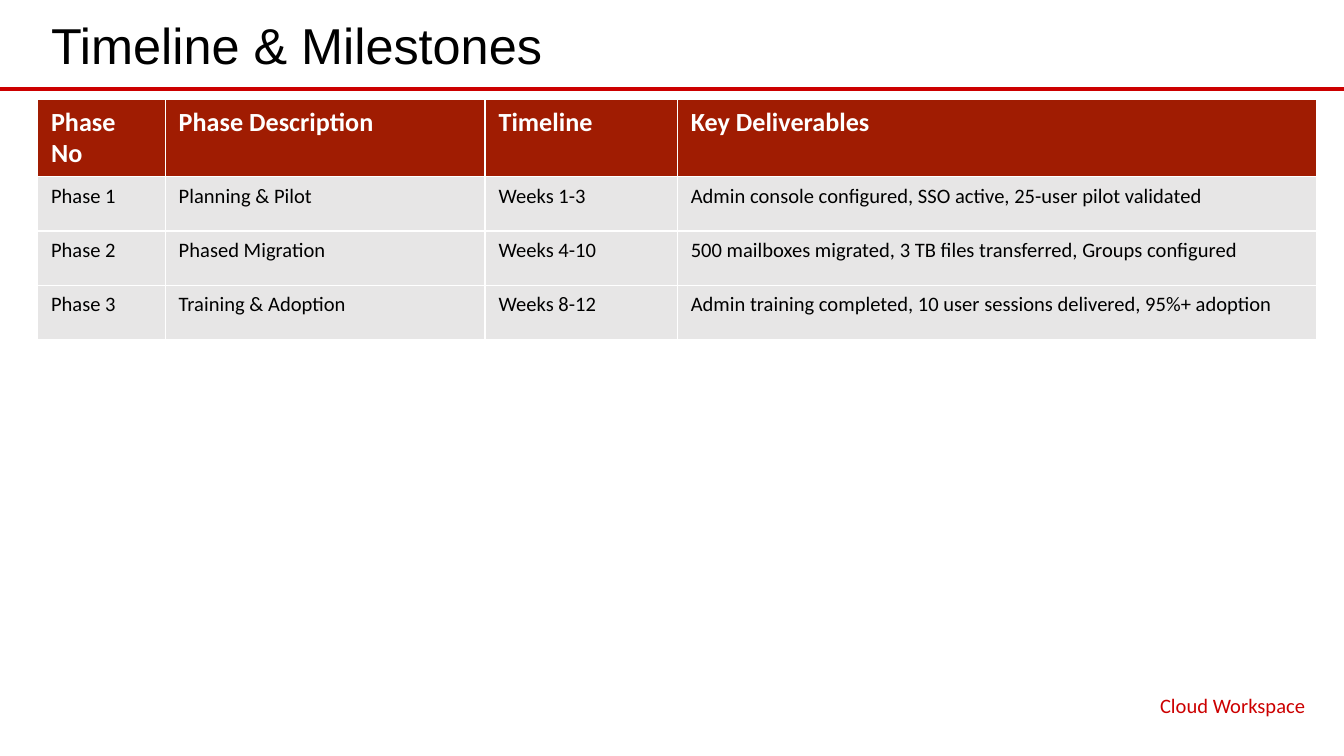
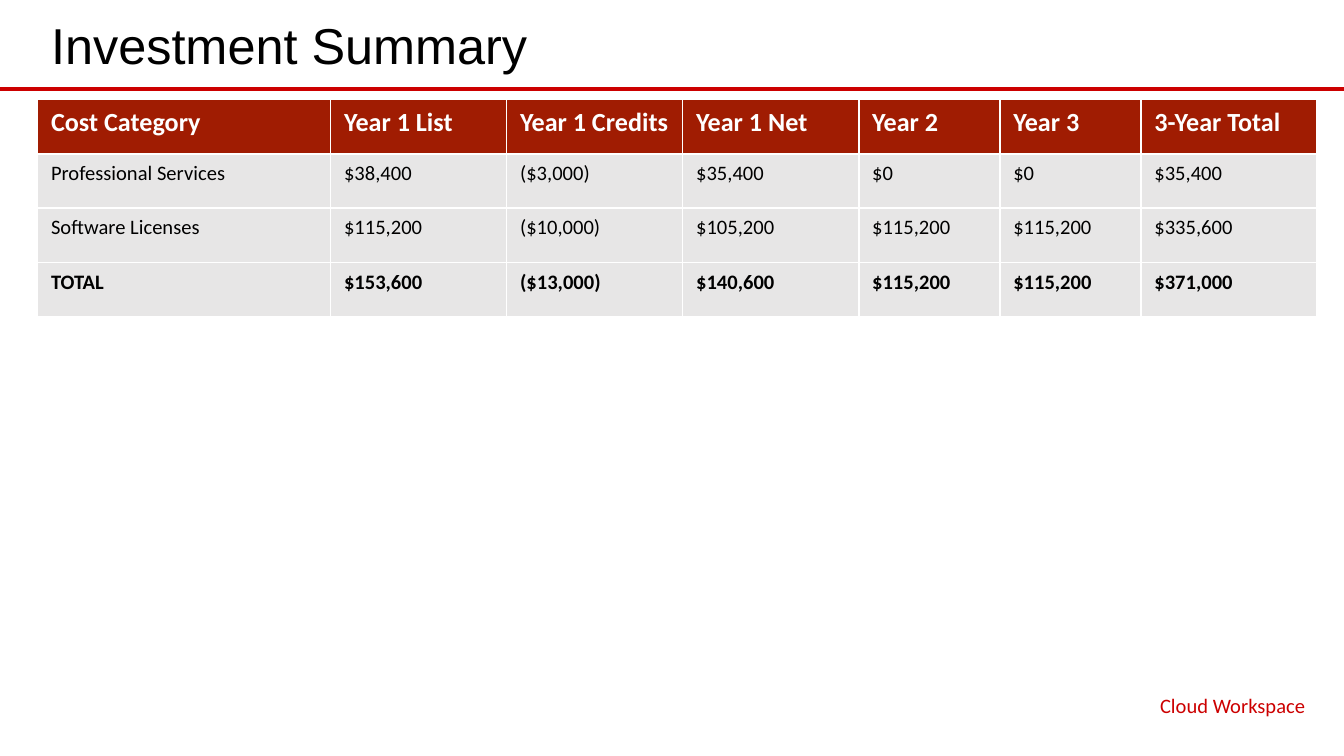
from pptx import Presentation
from pptx.dml.color import RGBColor
from pptx.enum import shapes, text
from pptx.oxml.ns import qn
from pptx.util import Inches, Pt
from lxml import etree

RED = RGBColor(0xCC, 0x00, 0x00)
BRICK = RGBColor(0xA0, 0x1C, 0x02)
GREY = RGBColor(0xE7, 0xE6, 0xE6)
WHITE = RGBColor(0xFF, 0xFF, 0xFF)
BLACK = RGBColor(0x00, 0x00, 0x00)

LEFT, WIDE = 0.28, 9.53
ROW = 0.405
FOOTER = "Cloud Workspace"

# Slide content: title, column widths, rows, whether the last row is a total
PAGES = [
    ("Timeline & Milestones", [0.95, 2.38, 1.43, 4.76], [
        ["Phase No", "Phase Description", "Timeline", "Key Deliverables"],
        ["Phase 1", "Planning & Pilot", "Weeks 1-3",
         "Admin console configured, SSO active, 25-user pilot validated"],
        ["Phase 2", "Phased Migration", "Weeks 4-10",
         "500 mailboxes migrated, 3 TB files transferred, Groups configured"],
        ["Phase 3", "Training & Adoption", "Weeks 8-12",
         "Admin training completed, 10 user sessions delivered, 95%+ adoption"],
    ], False),
    ("Investment Summary", [2.18, 1.31, 1.31, 1.31, 1.05, 1.05, 1.31], [
        ["Cost Category", "Year 1 List", "Year 1 Credits", "Year 1 Net",
         "Year 2", "Year 3", "3-Year Total"],
        ["Professional Services", "$38,400", "($3,000)", "$35,400",
         "$0", "$0", "$35,400"],
        ["Software Licenses", "$115,200", "($10,000)", "$105,200",
         "$115,200", "$115,200", "$335,600"],
        ["TOTAL", "$153,600", "($13,000)", "$140,600",
         "$115,200", "$115,200", "$371,000"],
    ], True),
]


def place(shape, left, top, width, height):
    shape.left, shape.top = Inches(left), Inches(top)
    shape.width, shape.height = Inches(width), Inches(height)


def write(frame, words, face, size, color, bold=False, align=text.PP_ALIGN.LEFT):
    frame.text = words
    para = frame.paragraphs[0]
    para.alignment = align
    font = para.font
    font.name, font.size, font.bold = face, Pt(size), bold
    font.color.rgb = color


prs = Presentation()
prs.slide_width, prs.slide_height = Inches(10), Inches(5.625)

for name, widths, rows, total in PAGES:
    slide = prs.slides.add_slide(prs.slide_layouts[5])

    # Rule under the title
    rule = slide.shapes.add_connector(
        shapes.MSO_CONNECTOR.STRAIGHT, 0, Inches(0.66), Inches(10), Inches(0.66))
    rule.line.color.rgb = RED
    rule.line.width = Pt(2.25)
    etree.SubElement(rule._element.spPr, qn("a:effectLst"))

    # Title
    title = slide.shapes.title
    place(title, LEFT, 0.04, WIDE, 0.58)
    write(title.text_frame, name, "Arial", 27, BLACK)
    title.text_frame.auto_size = text.MSO_AUTO_SIZE.NONE
    title.text_frame.vertical_anchor = text.MSO_ANCHOR.MIDDLE

    # Table; the default style supplies the white borders
    table = slide.shapes.add_table(
        len(rows), len(widths), Inches(LEFT), Inches(0.74),
        Inches(WIDE), Inches(ROW * len(rows))).table
    for col, width in zip(table.columns, widths):
        col.width = Inches(width)
    for r, row in enumerate(rows):
        head = r == 0
        bold = head or (total and r == len(rows) - 1)
        for c, words in enumerate(row):
            cell = table.cell(r, c)
            cell.fill.solid()
            cell.fill.fore_color.rgb = BRICK if head else GREY
            write(cell.text_frame, words, "Calibri", 14 if head else 11,
                  WHITE if head else BLACK, bold)

    # Footer
    foot = slide.shapes.add_textbox(0, 0, 0, 0)
    place(foot, 6.29, 5.12, 3.52, 0.26)
    foot.text_frame.word_wrap = True
    foot.text_frame.vertical_anchor = text.MSO_ANCHOR.MIDDLE
    write(foot.text_frame, FOOTER, "Calibri", 11, RED, align=text.PP_ALIGN.RIGHT)

prs.save("out.pptx")
